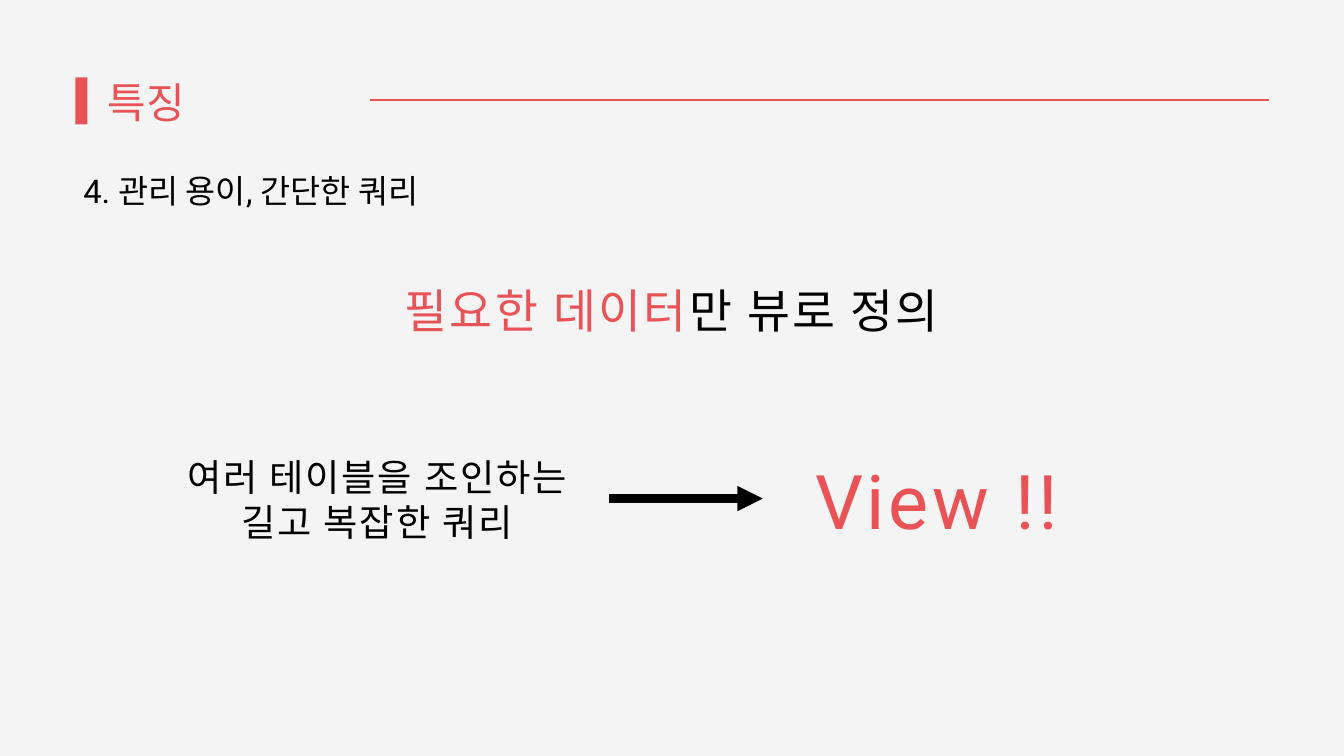
"""Build the slide on how views keep queries simple."""
from dataclasses import dataclass
from typing import NamedTuple

from lxml import etree
from pptx import Presentation
from pptx.dml.color import RGBColor
from pptx.enum.shapes import MSO_CONNECTOR, MSO_SHAPE
from pptx.enum.text import MSO_ANCHOR, MSO_AUTO_SIZE, PP_ALIGN
from pptx.oxml.ns import qn
from pptx.util import Inches, Pt

LEFT, CENTER = PP_ALIGN.LEFT, PP_ALIGN.CENTER
TOP = MSO_ANCHOR.TOP
GROW = MSO_AUTO_SIZE.SHAPE_TO_FIT_TEXT
STRAIGHT = MSO_CONNECTOR.STRAIGHT
RECT = MSO_SHAPE.RECTANGLE


@dataclass(frozen=True)
class Theme:
    font: str = "Roboto"
    paper: RGBColor = RGBColor(0xF4, 0xF4, 0xF4)
    red: RGBColor = RGBColor(0xEA, 0x53, 0x55)
    ink: RGBColor = RGBColor(0, 0, 0)
    title: float = 45
    point: float = 35
    claim: float = 50
    cause: float = 40
    result: float = 80.8


THEME = Theme()


class Box(NamedTuple):
    left: float
    top: float
    width: float
    height: float


class Part(NamedTuple):
    text: str
    color: RGBColor


class Style(NamedTuple):
    size: float
    lead: float
    align: PP_ALIGN = CENTER
    track: float = 0


class Block(NamedTuple):
    box: Box
    style: Style
    lines: list[list[Part]]


class Rule(NamedTuple):
    start: float
    end: float
    level: float
    color: RGBColor
    weight: float
    arrow: bool = False


TITLE = Block(Box(1.6, 1.08, 5.27, 0.79), Style(THEME.title, 58.5, LEFT),
              [[Part("특징", THEME.red)]])
POINT = Block(Box(1.12, 2.5, 8.23, 0.61), Style(THEME.point, 45.5, LEFT),
              [[Part(" 4. 관리 용이, 간단한 쿼리", THEME.ink)]])
BLOCKS = [
    Block(Box(5.97, 4.19, 8.05, 0.84), Style(THEME.claim, 60, track=2.5),
          [[Part("필요한 데이터", THEME.red), Part("만 뷰로 정의", THEME.ink)]]),
    Block(Box(2.75, 6.76, 5.73, 1.31), Style(THEME.cause, 48, track=2),
          [[Part("여러 테이블을 조인하는", THEME.ink)],
           [Part("길고 복잡한 쿼리", THEME.ink)]]),
    Block(Box(11.93, 6.75, 4.02, 1.33), Style(THEME.result, 97, track=4),
          [[Part("View !!", THEME.red)]]),
]
RULES = [
    Rule(5.51, 18.88, 1.49, THEME.red, 1.5),
    Rule(9.07, 11.35, 7.42, THEME.ink, 9, arrow=True),
]
BAR = Box(1.12, 1.15, 0.18, 0.7)


def fill_line(para, parts: list[Part], style: Style) -> None:
    """Write one paragraph with its spacing, font and colours."""
    para.alignment = style.align
    para.line_spacing = Pt(style.lead)
    para.space_before = Pt(0)
    props = para._p.get_or_add_pPr()
    props.set("marL", "0")
    props.set("indent", "0")
    etree.SubElement(props, qn("a:buNone"))
    para.font.name = THEME.font
    para.font.size = Pt(style.size)
    if len(parts) == 1:
        para.font.color.rgb = parts[0].color
    for part in parts:
        run = para.add_run()
        run.text = part.text
        if len(parts) > 1:
            run.font.color.rgb = part.color
        if style.track:
            run._r.get_or_add_rPr().set("spc", str(round(style.track * 100)))


def fill_text(shape, block: Block) -> None:
    """Place a text shape and write its lines."""
    shape.left, shape.top, shape.width, shape.height = map(Inches, block.box)
    frame = shape.text_frame
    frame.margin_left = frame.margin_right = 0
    frame.margin_top = frame.margin_bottom = 0
    frame.word_wrap = True
    frame.auto_size = GROW
    frame.vertical_anchor = TOP
    for index, parts in enumerate(block.lines):
        para = frame.add_paragraph() if index else frame.paragraphs[0]
        fill_line(para, parts, block.style)


def draw_bar(slide, box: Box) -> None:
    """Draw the red bar beside the title."""
    bar = slide.shapes.add_shape(RECT, *map(Inches, box))
    bar.shadow.inherit = False
    bar.fill.solid()
    bar.fill.fore_color.rgb = THEME.red
    bar.line.fill.background()


def draw_rule(slide, rule: Rule) -> None:
    """Draw a level line, with an arrowhead if asked."""
    ends = (rule.start, rule.level, rule.end, rule.level)
    link = slide.shapes.add_connector(STRAIGHT, *map(Inches, ends))
    link.line.color.rgb = rule.color
    link.line.width = Pt(rule.weight)
    props = link._element.spPr
    if rule.arrow:
        etree.SubElement(props.find(qn("a:ln")), qn("a:tailEnd"), type="triangle")
    etree.SubElement(props, qn("a:effectLst"))


def main() -> None:
    """Build and save the slide."""
    deck = Presentation()
    deck.slide_width, deck.slide_height = Inches(20), Inches(11.25)
    slide = deck.slides.add_slide(deck.slide_layouts[1])
    slide.background.fill.solid()
    slide.background.fill.fore_color.rgb = THEME.paper
    draw_bar(slide, BAR)
    fill_text(slide.shapes.title, TITLE)
    fill_text(slide.placeholders[1], POINT)
    for block in BLOCKS:
        fill_text(slide.shapes.add_textbox(*map(Inches, block.box)), block)
    for rule in RULES:
        draw_rule(slide, rule)
    deck.save("out.pptx")


if __name__ == "__main__":
    main()
